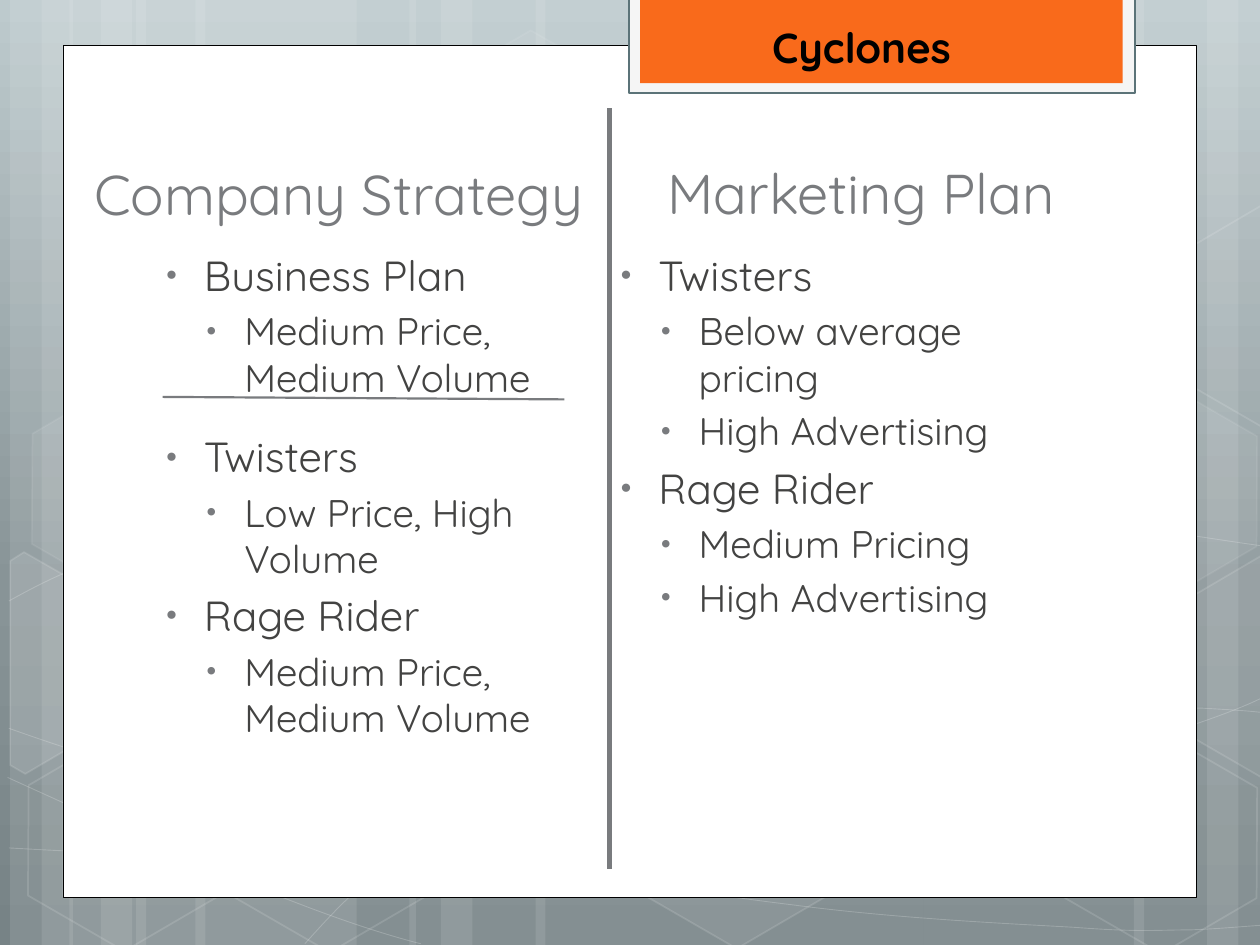
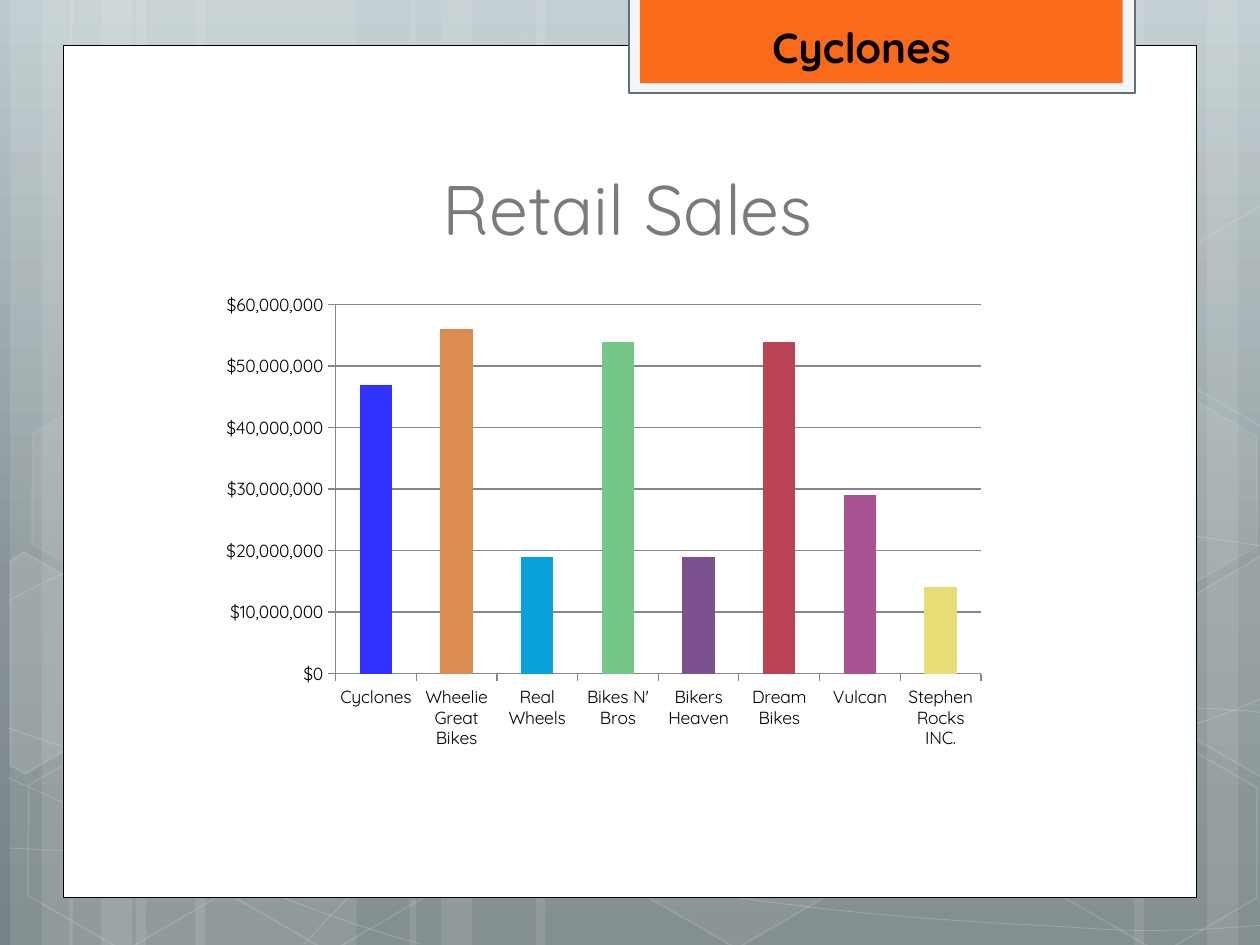
"""Builds two Cyclones slides: company strategy and retail sales."""
from copy import deepcopy
from math import cos, radians, sin
from lxml.etree import SubElement
from pptx import Presentation
from pptx.chart.data import CategoryChartData
from pptx.dml.color import RGBColor
from pptx.enum.chart import XL_CHART_TYPE, XL_TICK_MARK
from pptx.enum.shapes import MSO_CONNECTOR, MSO_SHAPE
from pptx.enum.text import MSO_ANCHOR, PP_ALIGN
from pptx.oxml.ns import qn
from pptx.util import Inches, Pt

FONT = "Quicksand"
WHITE = RGBColor(0xFF, 0xFF, 0xFF)
BLACK = RGBColor(0, 0, 0)
GREY = RGBColor(0x79, 0x7B, 0x7E)
INK = RGBColor(0x43, 0x43, 0x42)
PALE = RGBColor(0xF5, 0xF5, 0xF5)
SLATE = RGBColor(0x5B, 0x73, 0x78)
ORANGE = RGBColor(0xF9, 0x6A, 0x1B)
AXIS = RGBColor(0x86, 0x86, 0x86)
SKY = [(0, RGBColor(0xBD, 0xCA, 0xCD)), (0.62, RGBColor(0x88, 0x94, 0x97)),
       (1, RGBColor(0x77, 0x83, 0x86))]

TEAM = "Cyclones"
WIDE, HIGH = 10, 7.5
MID = 4.84
TILT = 30

PLANS = [
    ("Business Plan", ["Medium Price, Medium Volume"], 0),
    ("Twisters", ["Low Price, High Volume"], 13),
    ("Rage Rider", ["Medium Price, Medium Volume"], 0),
    ("Twisters", ["Below average pricing", "High Advertising"], 0),
    ("Rage Rider", ["Medium Pricing", "High Advertising"], 0),
]
SALES = [
    ("Cyclones", 47, "3032FF"), ("Wheelie Great Bikes", 56, "DB8C51"),
    ("Real Wheels", 19, "08A1D9"), ("Bikes N' Bros", 54, "76C689"),
    ("Bikers Heaven", 19, "7B5190"), ("Dream Bikes", 54, "BC4255"),
    ("Vulcan", 29, "A85294"), ("Stephen Rocks INC.", 14, "E7DD77"),
]

STRIPES = [(1.08, 1.75), (0.08, 0.5), (0.33, 0.83), (1.55, 1.75), (0.55, 0.5), (0.8, 0.83),
           (7.33, 1.75), (9.58, 0.5), (9, 0.83), (4.25, 3.08), (3.25, 0.5), (3.5, 0.83)]
CURVES = [
    [(0.07, 6.73), (0.61, 6.76), (1.15, 6.79), (1.9, 6.78), (2.65, 6.77), (3.58, 6.75),
     (4.58, 6.65), (5.58, 6.55), (7, 6.36), (7.92, 6.17), (8.83, 5.98), (9.77, 5.68),
     (10.07, 5.51)],
    [(0.07, 4.77), (0.36, 4.61), (0.65, 4.46), (1.21, 4.31), (1.78, 4.16), (2.59, 3.94),
     (3.47, 3.87), (4.36, 3.8), (5.44, 3.79), (6.54, 3.87), (7.64, 3.95), (9.47, 4.26),
     (10.07, 4.34)],
    [(0.06, 6.17), (1.27, 6.72), (2.47, 7.27), (3.34, 7.49)],
    [(0.07, 5.78), (0.38, 5.89), (0.7, 6), (1.28, 6.16), (1.86, 6.31), (2.73, 6.56),
     (3.57, 6.73), (4.4, 6.9), (5.45, 7.08), (6.28, 7.18), (7.11, 7.29), (8, 7.33),
     (8.53, 7.36), (9.05, 7.4), (9.19, 7.38), (9.45, 7.38), (9.71, 7.37), (9.89, 7.35),
     (10.07, 7.34)],
    [(2.42, 7.49), (2.6, 7.29), (2.78, 7.09), (3.02, 6.91), (3.26, 6.73), (3.6, 6.53),
     (3.88, 6.39), (4.16, 6.25), (4.33, 6.19), (4.7, 6.09), (5.06, 5.99), (5.73, 5.85),
     (6.08, 5.78), (6.44, 5.71), (6.49, 5.71), (6.8, 5.69), (7.11, 5.66), (7.6, 5.63),
     (7.94, 5.62), (8.29, 5.61), (8.86, 5.62), (8.86, 5.62), (9.08, 5.62), (9.31, 5.62),
     (9.53, 5.62), (9.71, 5.63), (9.88, 5.64), (9.97, 5.65), (10.06, 5.66), (10.03, 5.65),
     (10.06, 5.66)],
]
HEXES = [(3.34, 0.36, 4, 8), (4.97, 5.89, 6, 12), (0.11, 5.91, 0, 12), (0.14, 3.12, 7, 8),
         (1.74, 5.92, 0, 12), (7.53, 4.53, 10, 12), (8.34, 5.93, 0, 12), (8.34, 3.14, 7, 8)]
SHARDS = [
    ([(0.08, 4.45), (0.19, 4.38), (0.96, 4.82), (0.95, 5.7), (0.2, 6.14), (0.08, 6.07)],
     (0.36, 5.35), 10),
    ([(9.26, 4.85), (10.01, 4.41), (10.09, 4.46), (10.09, 6.13), (10.02, 6.17),
      (9.26, 5.73)], (9.85, 5.2), 4),
    ([(9.26, 2.07), (10.01, 1.63), (10.1, 1.68), (10.09, 3.35), (10.02, 3.39),
      (9.26, 2.95)], (9.85, 2.41), 0),
]


def fade(node, share):
    """Give the solid fill under a node an opacity in percent."""
    if share < 100:
        clr = node.find(qn("a:solidFill")).find(qn("a:srgbClr"))
        SubElement(clr, qn("a:alpha")).set("val", str(share * 1000))


def paint(shape, fill=None, line=None, width=1, veil=100, edge=100):
    """Set fill, line and their opacity, and drop the shadow."""
    shape.shadow.inherit = False
    if fill is None or not veil:
        shape.fill.background()
    else:
        shape.fill.solid()
        shape.fill.fore_color.rgb = fill
        fade(shape.element.spPr, veil)
    if line is None:
        shape.line.fill.background()
    else:
        shape.line.color.rgb = line
        shape.line.width = Pt(width)
        fade(shape.element.spPr.find(qn("a:ln")), edge)


def block(slide, kind, x, y, w, h, **look):
    """Add a preset shape."""
    shape = slide.shapes.add_shape(kind, *map(Inches, (x, y, w, h)))
    paint(shape, **look)
    return shape


def trace(slide, dots, close, **look):
    """Add an outline through points."""
    dots = [(Inches(x), Inches(y)) for x, y in dots]
    form = slide.shapes.build_freeform(*dots[0])
    form.add_line_segments(dots[1:], close=close)
    shape = form.convert_to_shape()
    paint(shape, **look)
    return shape


def bend(shape):
    """Turn each three straight steps of an outline into one curve."""
    steps = list(shape.element.iter(qn("a:lnTo")))
    for i in range(0, len(steps), 3):
        curve = steps[i].makeelement(qn("a:cubicBezTo"))
        steps[i].addprevious(curve)
        for step in steps[i:i + 3]:
            curve.append(step[0])
            step.getparent().remove(step)


def turn(dots, hub, angle):
    """Rotate points about a hub."""
    c, s = cos(radians(angle)), sin(radians(angle))
    u, v = hub
    return [(u + (x - u) * c - (y - v) * s, v + (x - u) * s + (y - v) * c) for x, y in dots]


def rule(slide, x1, y1, x2, y2, width):
    """Add a grey line."""
    line = slide.shapes.add_connector(MSO_CONNECTOR.STRAIGHT, *map(Inches, (x1, y1, x2, y2)))
    line.line.color.rgb = GREY
    line.line.width = Pt(width)
    SubElement(line.element.spPr, qn("a:effectLst"))


def frame(slide, x, y, w, h, anchor=MSO_ANCHOR.TOP):
    """Add a wrapping text box."""
    text = slide.shapes.add_textbox(*map(Inches, (x, y, w, h))).text_frame
    text.word_wrap = True
    text.vertical_anchor = anchor
    return text


def style(para, words, size, color, bold=False):
    """Fill and format a paragraph."""
    para.text = words
    font = para.font
    font.name, font.size, font.bold = FONT, Pt(size), bold
    font.color.rgb = color


def title(slide, words, size, x, y, w, h=0.91, anchor=MSO_ANCHOR.BOTTOM):
    """Add a centred heading."""
    para = frame(slide, x, y, w, h, anchor).paragraphs[0]
    style(para, words, size, GREY)
    para.alignment = PP_ALIGN.CENTER


def bullet(para, words, level, gap=0):
    """Format one bulleted line."""
    size = (24, 22)[level]
    style(para, words, size, INK)
    para.space_before = Pt(gap + size * 0.2)
    props = para._p.get_or_add_pPr()
    props.set("marL", str(Inches((0.38, 0.7)[level])))
    props.set("indent", str(Inches(-0.3)))
    tint = SubElement(props, qn("a:buClr"))
    SubElement(tint, qn("a:srgbClr")).set("val", str(GREY))
    SubElement(props, qn("a:buSzPct")).set("val", "76000")
    SubElement(props, qn("a:buFont")).set("typeface", FONT)
    SubElement(props, qn("a:buChar")).set("char", "•")
    props.append(props.find(qn("a:defRPr")))


def base(deck):
    """Add a slide with the shared backdrop, card and team tab."""
    slide = deck.slides.add_slide(deck.slide_layouts[6])
    fill = slide.background.fill
    fill.gradient()
    fill.gradient_angle = 270
    stops = slide.element.find(".//" + qn("a:gsLst"))
    stops.append(deepcopy(stops[0]))
    for stop, (place, color) in zip(fill.gradient_stops, SKY):
        stop.position, stop.color.rgb = place, color
    box = MSO_SHAPE.RECTANGLE
    for x, w in STRIPES:
        block(slide, box, x, 0, w, HIGH, fill=WHITE, veil=10)
    for knots in CURVES:
        bend(trace(slide, knots, False, line=WHITE, width=0.5, edge=20))
    for x, y, veil, edge in HEXES:
        shape = block(slide, MSO_SHAPE.HEXAGON, x, y, 1.75, 1.52,
                      fill=WHITE, line=WHITE, veil=veil, edge=edge)
        shape.adjustments[0], shape.adjustments[1] = 0.285, 1.155
        shape.rotation = TILT
    for dots, hub, veil in SHARDS:
        shape = trace(slide, turn(dots, hub, -TILT), True,
                      fill=WHITE, line=WHITE, veil=veil, edge=12)
        shape.rotation = TILT
    block(slide, box, 0.5, 0.36, 9, 6.76, fill=WHITE, line=BLACK, width=0.5)
    block(slide, box, 4.99, -0.02, 4.02, 0.76, fill=PALE, line=SLATE, width=1.25)
    block(slide, box, 5.08, -0.02, 3.83, 0.68, fill=ORANGE)
    return slide


def tab(slide):
    """Write the team name on the tab."""
    style(frame(slide, 6.03, 0.12, 1.76, 0.5).paragraphs[0], TEAM, 24, BLACK, True)


def plans(deck):
    """Add the strategy and marketing columns."""
    slide = base(deck)
    title(slide, "Company Strategy", 32, 0.54, 0.94, 4.3)
    text = frame(slide, 1.14, 1.93, 7.41, 4.2)
    text._txBody.bodyPr.set("numCol", "2")
    for n, (head, items, gap) in enumerate(PLANS):
        bullet(text.add_paragraph() if n else text.paragraphs[0], head, 0, gap)
        for item in items:
            bullet(text.add_paragraph(), item, 1)
    title(slide, "Marketing Plan", 32, MID, 1.21, 3.99, 0.64, MSO_ANCHOR.TOP)
    rule(slide, MID, 0.86, MID, 6.9, 3)
    rule(slide, 1.29, 3.15, 4.48, 3.17, 1.25)
    tab(slide)


def sales(deck):
    """Add the retail sales chart."""
    slide = base(deck)
    title(slide, "Retail Sales", 40, 1.14, 1.12, 7.68)
    data = CategoryChartData()
    data.categories = [name for name, _, _ in SALES]
    data.add_series("Series 1", [n * 1_000_000 for _, n, _ in SALES])
    chart = slide.shapes.add_chart(XL_CHART_TYPE.COLUMN_CLUSTERED,
                                   *map(Inches, (1.67, 2.26, 6.24, 3.76)), data).chart
    chart.has_legend = chart.has_title = False
    chart.font.name, chart.font.size = FONT, Pt(10)
    chart.font.color.rgb = BLACK
    plot = chart.plots[0]
    plot.vary_by_categories, plot.gap_width = False, 150
    for n, (_, _, color) in enumerate(SALES):
        fill = plot.series[0].points[n].format.fill
        fill.solid()
        fill.fore_color.rgb = RGBColor.from_string(color)
    axis = chart.value_axis
    axis.minimum_scale, axis.maximum_scale, axis.major_unit = 0, 60_000_000, 10_000_000
    axis.tick_labels.number_format = '"$"#,##0;[Red]\\-"$"#,##0'
    axis.tick_labels.number_format_is_linked = False
    axis.major_gridlines.format.line.color.rgb = AXIS
    for side in (axis, chart.category_axis):
        side.major_tick_mark = XL_TICK_MARK.OUTSIDE
        side.format.line.color.rgb = AXIS
    tab(slide)


def main():
    """Build and save the deck."""
    deck = Presentation()
    deck.slide_width, deck.slide_height = Inches(WIDE), Inches(HIGH)
    plans(deck)
    sales(deck)
    deck.save("out.pptx")


if __name__ == "__main__":
    main()
